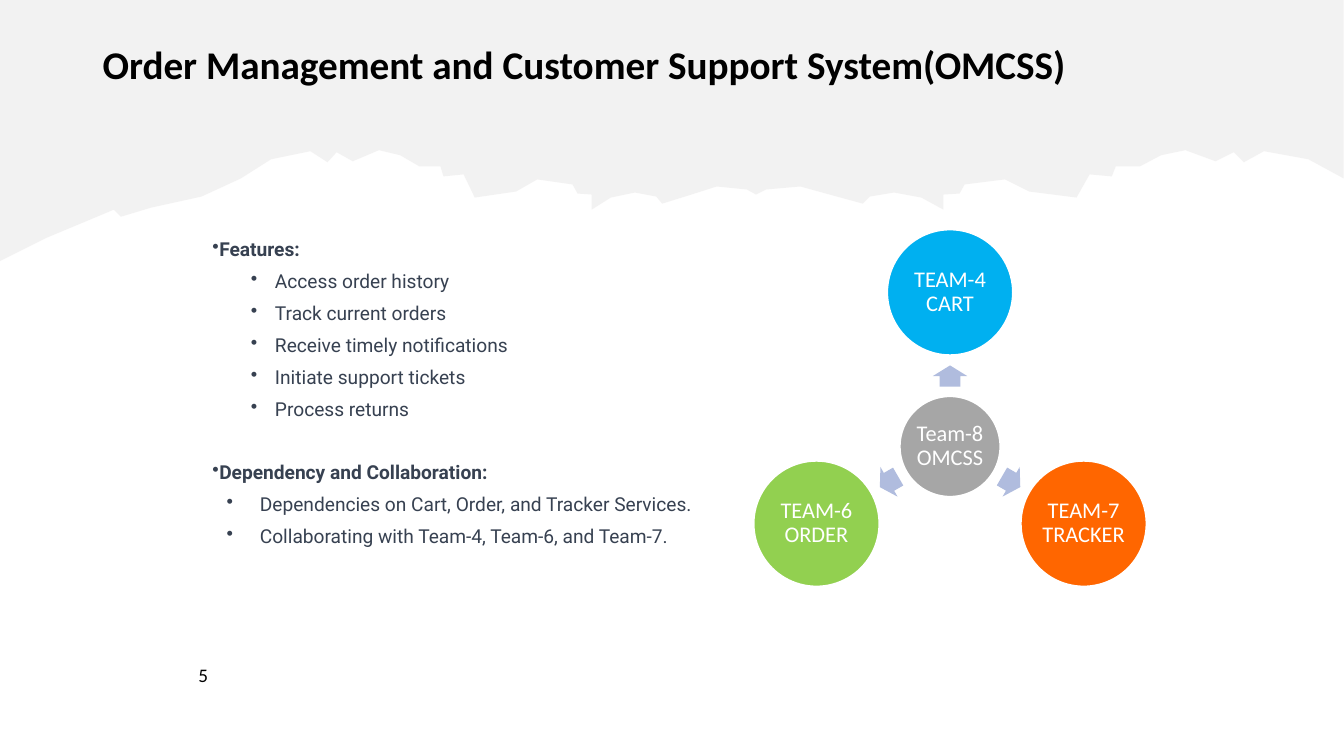
import math

import pptx
import pptx.dml.color
import pptx.enum.shapes
import pptx.enum.text
import pptx.oxml.ns
import pptx.util
from lxml import etree

qn = pptx.oxml.ns.qn
Shape = pptx.enum.shapes.MSO_SHAPE
Align = pptx.enum.text.PP_ALIGN
Anchor = pptx.enum.text.MSO_ANCHOR

CELL = 0.1  # inches: side of one grid cell, both column and row
COLUMNS, ROWS = 133.33, 75

# Torn lower edge of the header band, in tenths of a cell
SLOPE = [(0, 259), (46, 236), (82, 221), (113, 208), (120, 215), (150, 206), (200, 195)]
CREST = [(239, 177), (269, 158), (308, 150), (325, 161), (334, 151), (350, 160),
         (376, 149), (397, 154), (416, 165), (437, 165), (440, 175), (460, 173),
         (471, 196), (512, 190), (533, 178), (568, 183), (573, 192), (587, 193),
         (587, 208), (606, 196), (630, 191), (651, 195), (657, 202), (686, 193),
         (711, 185), (741, 188)]
CREST_END, MIRROR_STRETCH = 750, 1.14

FEATURES = ["Access order history", "Track current orders",
            "Receive timely notifications", "Initiate support tickets",
            "Process returns"]
DEPENDENCIES = ["Dependencies on Cart, Order, and Tracker Services.",
                "Collaborating with Team-4, Team-6, and Team-7."]

# Radial diagram: label, fill, direction from the hub in degrees
HUB_X, HUB_Y = 94.25, 44.3
TEAM_DISTANCE, ARROW_DISTANCE = 15.3, 7
TEAMS = [("TEAM-4\nCART", "00B0F0", 270),
         ("TEAM-7\nTRACKER", "FF6600", 30),
         ("TEAM-6\nORDER", "92D050", 150)]


def cells(count):
    return pptx.util.Inches(count * CELL)


def color(hex_string):
    return pptx.dml.color.RGBColor.from_string(hex_string)


def write(paragraph, text, size=13.7, font="Calibri", fill="000000", bold=False,
          align=Align.LEFT, line_spacing=None, before=0, after=0,
          bullet=False, level=0, margin=0, indent=0):
    paragraph.text = text.replace("\n", "\v")
    if bullet:
        properties = paragraph._p.get_or_add_pPr()
        properties.set("marL", str(cells(margin)))
        properties.set("indent", str(cells(indent)))
        etree.SubElement(properties, qn("a:buChar"), char="•")
    paragraph.level = level
    paragraph.alignment = align
    paragraph.line_spacing = line_spacing
    paragraph.space_before = pptx.util.Pt(before)
    paragraph.space_after = pptx.util.Pt(after)
    for line_break in paragraph._p.iter(qn("a:br")):
        etree.SubElement(line_break, qn("a:rPr"), sz=str(round(size * 100)))
    for run in paragraph.runs:
        run.font.size = pptx.util.Pt(size)
        run.font.name = font
        run.font.bold = bold
        run.font.color.rgb = color(fill)


class SlideBuilder:
    def __init__(self, presentation):
        self.slide = presentation.slides.add_slide(presentation.slide_layouts[6])
        self.body = dict(font="Roboto", fill="374151", after=6.4, bullet=True)
        self.label = dict(size=16, fill="FFFFFF", align=Align.CENTER, line_spacing=0.9)

    def paint(self, shape, fill, line=None):
        shape.shadow.inherit = False
        shape.fill.solid()
        shape.fill.fore_color.rgb = color(fill)
        if line:
            shape.line.color.rgb = color(line)
            shape.line.width = pptx.util.Pt(1.5)
        else:
            shape.line.fill.background()
        return shape

    def band(self, points, fill, opacity):
        builder = self.slide.shapes.build_freeform(*points[0], scale=cells(0.1))
        builder.add_line_segments(points[1:], close=True)
        shape = self.paint(builder.convert_to_shape(), fill)
        shade = shape._element.find(".//" + qn("a:srgbClr"))
        etree.SubElement(shade, qn("a:alpha"), val=str(opacity * 1000))

    def text_box(self, left, top, width, height, paragraphs):
        box = self.slide.shapes.add_textbox(*map(cells, (left, top, width, height)))
        frame = box.text_frame
        frame.word_wrap = True
        for number, (text, style) in enumerate(paragraphs):
            write(frame.add_paragraph() if number else frame.paragraphs[0], text, **style)

    def centered(self, kind, x, y, width, height, fill, line=None):
        shape = self.slide.shapes.add_shape(
            kind, *map(cells, (x - width / 2, y - height / 2, width, height)))
        return self.paint(shape, fill, line)

    def circle(self, x, y, diameter, fill, text):
        shape = self.centered(Shape.OVAL, x, y, diameter, diameter, fill, "FFFFFF")
        frame = shape.text_frame
        frame.margin_left = frame.margin_right = frame.margin_top = frame.margin_bottom = 0
        frame.word_wrap = False
        frame.vertical_anchor = Anchor.MIDDLE
        write(frame.paragraphs[0], text, **self.label)

    def arrow(self, x, y, rotation):
        shape = self.centered(Shape.RIGHT_ARROW, x, y, 2.1, 3.4, "B0BCDE")
        shape.adjustments[0], shape.adjustments[1] = 0.6, 0.5
        shape.rotation = rotation


def main():
    presentation = pptx.Presentation()
    presentation.slide_width, presentation.slide_height = cells(COLUMNS), cells(ROWS)
    builder = SlideBuilder(presentation)

    # Header band: the crest returns mirrored and stretched on the right
    mirrored = [(CREST_END + MIRROR_STRETCH * (CREST_END - x), y)
                for x, y in reversed(CREST)]
    corners = [(COLUMNS * 10, 0), (0, 0)]
    builder.band(SLOPE + CREST + [(CREST_END, 193)] + mirrored + corners, "E7E6E6", 50)

    # Title
    builder.text_box(9.2, 4, 115, 10.2, [
        ("Order Management and Customer Support System(OMCSS)",
         dict(size=28, bold=True, line_spacing=0.9))])

    # Bulleted text
    heading = dict(builder.body, bold=True)
    feature = dict(builder.body, level=1, margin=6.2, indent=-2.4)
    dependency = dict(builder.body, level=1, margin=4.7, indent=-3.3)
    builder.text_box(20.1, 23.1, 52, 40.1, [
        ("Features:", heading),
        *((text, feature) for text in FEATURES),
        ("Dependency and Collaboration:", dict(heading, before=22)),
        *((text, dependency) for text in DEPENDENCIES)])

    # Page number
    builder.text_box(18.7, 65.3, 3.1, 2.2, [("5", {})])

    # Hub with arrows to the teams
    builder.circle(HUB_X, HUB_Y, 10, "A6A6A6", "Team-8\nOMCSS")
    for text, fill, angle in TEAMS:
        across, down = math.cos(math.radians(angle)), math.sin(math.radians(angle))
        builder.arrow(HUB_X + ARROW_DISTANCE * across, HUB_Y + ARROW_DISTANCE * down, angle)
        builder.circle(HUB_X + TEAM_DISTANCE * across, HUB_Y + TEAM_DISTANCE * down,
                       12.5, fill, text)

    presentation.save("out.pptx")


if __name__ == "__main__":
    main()
